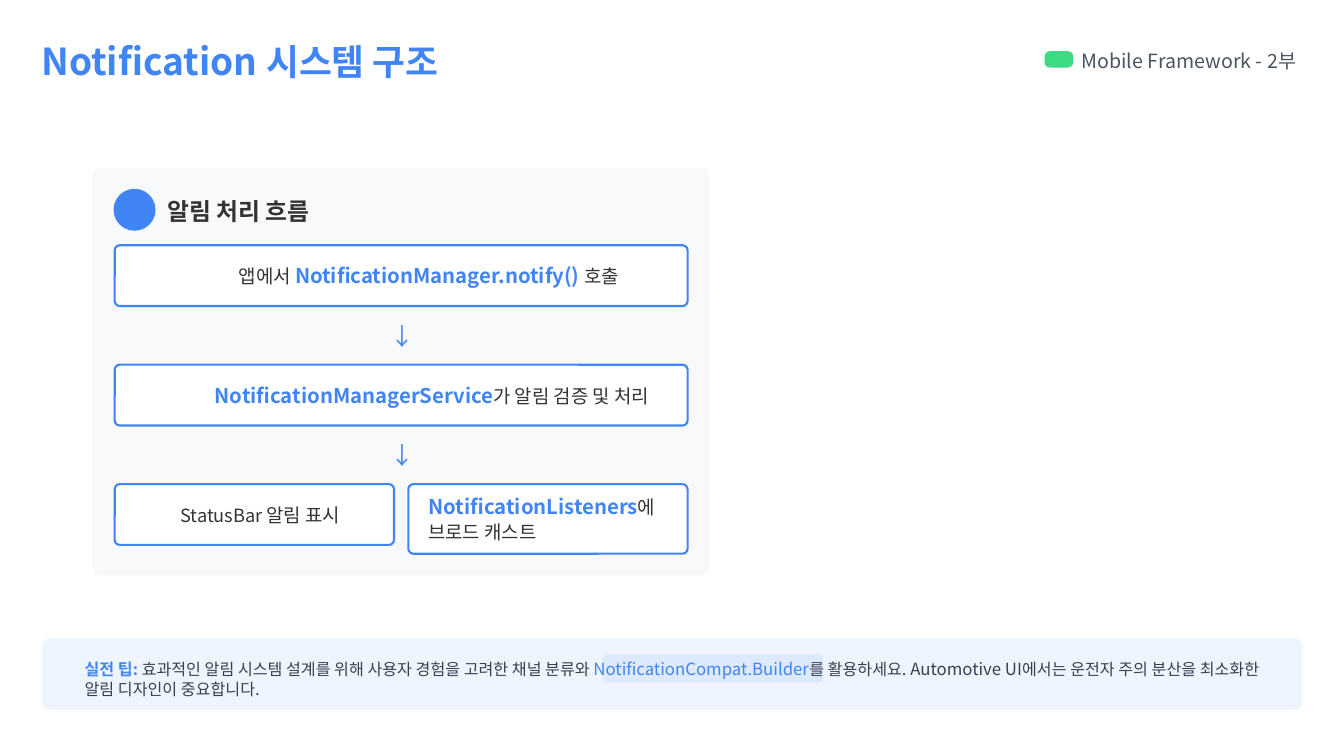
from dataclasses import dataclass

from lxml import etree
from pptx import Presentation
from pptx import util as u
from pptx.dml.color import RGBColor
from pptx.enum import shapes, text
from pptx.oxml.ns import qn

FONT = "Noto Sans CJK KR"
COLORS = {
    "blue": "4185F4",
    "green": "3CDB83",
    "dark": "333333",
    "gray": "4A5462",
    "slate": "374050",
    "panel": "F7F9FA",
    "tip": "EFF5FF",
    "white": "FFFFFF",
}
COLUMNS, ROWS = 160, 90
STEP_LEFT, STEP_TOP, STEP_PITCH = 13.66, 29.2, 14.22
STEP_HEIGHT, STEP_WIDTH, STEP_GAP = 7.24, 68.2, 1.7
HALF_WIDTH = (STEP_WIDTH - STEP_GAP) / 2
ARROW_LEFT, ARROW_DROP = 46.32, 8.7

deck = Presentation()
deck.slide_width, deck.slide_height = u.Inches(13.33), u.Inches(7.5)
page = deck.slides.add_slide(deck.slide_layouts[6])


@dataclass(frozen=True)
class Area:
    """A rectangle in grid columns and rows."""
    left: float
    top: float
    width: float
    height: float

    def lengths(self) -> tuple[int, int, int, int]:
        """Return left, top, width and height in slide units."""
        column, row = deck.slide_width / COLUMNS, deck.slide_height / ROWS
        return (round(self.left * column), round(self.top * row),
                round(self.width * column), round(self.height * row))


@dataclass(frozen=True)
class Span:
    """A run of text with its format."""
    words: str
    size: float
    color: str = "dark"
    bold: bool = False


@dataclass(frozen=True)
class Step:
    """A box of the flow with the area of its label."""
    box: Area
    label: Area
    spans: tuple[Span, ...]
    spacing: float = 1.0


def rgb(name: str) -> RGBColor:
    """Look up a named colour."""
    return RGBColor.from_string(COLORS[name])


def write(area: Area, *spans: Span, spacing: float = 1.0) -> None:
    """Write one paragraph of spans in a text box."""
    box = page.shapes.add_textbox(*area.lengths())
    frame = box.text_frame
    frame.word_wrap = True
    frame.vertical_anchor = text.MSO_ANCHOR.TOP
    frame.margin_left = u.Inches(0.01)
    frame.margin_top = u.Inches(0.03)
    frame.margin_right = frame.margin_bottom = 0
    para = frame.paragraphs[0]
    para.line_spacing = spacing
    for span in spans:
        run = para.add_run()
        run.text = span.words
        font = run.font
        font.name, font.size, font.bold = FONT, u.Pt(span.size), span.bold
        font.color.rgb = rgb(span.color)
        east_asian = etree.SubElement(font._element, qn("a:ea"))
        east_asian.set("typeface", FONT)


def block(area: Area, fill: str, *, radius: float = 0, line: str = "",
          opacity: int = 100, kind=shapes.MSO_SHAPE.ROUNDED_RECTANGLE) -> None:
    """Draw a filled shape, with corners of the given radius in rows."""
    shape = page.shapes.add_shape(kind, *area.lengths())
    shape.shadow.inherit = False
    if radius:
        shape.adjustments[0] = radius / min(area.width, area.height)
    shape.fill.solid()
    shape.fill.fore_color.rgb = rgb(fill)
    if opacity < 100:
        color = shape._element.spPr.find(".//" + qn("a:srgbClr"))
        etree.SubElement(color, qn("a:alpha")).set("val", str(opacity * 1000))
    if line:
        shape.line.color.rgb = rgb(line)
        shape.line.width = u.Pt(1.5)
    else:
        shape.line.fill.background()


def step_top(index: int) -> float:
    """Return the top row of a level of the flow."""
    return STEP_TOP + index * STEP_PITCH


STEPS = (
    Step(Area(STEP_LEFT, step_top(0), STEP_WIDTH, STEP_HEIGHT),
         Area(28.32, 31.0, 49.68, 3.2),
         (Span("앱에서 ", 13.5),
          Span("NotificationManager.notify() ", 14.5, "blue", True),
          Span("호출", 13.5))),
    Step(Area(STEP_LEFT, step_top(1), STEP_WIDTH, STEP_HEIGHT),
         Area(25.44, 45.22, 53.5, 3.2),
         (Span("NotificationManagerService", 14.5, "blue", True),
          Span("가 알림 검증 및 처리", 13.5))),
    Step(Area(STEP_LEFT, step_top(2), HALF_WIDTH, STEP_HEIGHT),
         Area(21.36, 59.6, 21.72, 2.9),
         (Span("StatusBar ", 13), Span("알림 표시", 13.5))),
    Step(Area(STEP_LEFT + HALF_WIDTH + STEP_GAP, step_top(2), HALF_WIDTH, 8.28),
         Area(50.88, 58.2, 28.2, 6.1),
         (Span("NotificationListeners", 14.5, "blue", True),
          Span("에 브로드 캐스트", 13.5)), spacing=1.09),
)


def draw_header() -> None:
    """Draw the title and the series label."""
    write(Area(4.8, 4.2, 71.4, 5.5),
          Span("Notification ", 26.5, "blue", True),
          Span("시스템 구조", 25.5, "blue", True))
    block(Area(124.36, 6.1, 3.4, 1.94), "green", radius=0.6)
    write(Area(128.64, 5.5, 28.6, 3), Span("Mobile Framework - 2부", 14, "gray"))


def draw_flow() -> None:
    """Draw the panel with its steps and arrows."""
    block(Area(11.04, 20, 73.4, 48.5), "panel", radius=0.85)
    block(Area(13.52, 22.48, 5, 5), "blue", kind=shapes.MSO_SHAPE.OVAL)
    write(Area(19.8, 23.1, 25.2, 3.6), Span("알림 처리 흐름", 17, "dark", True))
    for step in STEPS:
        block(step.box, "white", radius=0.6, line="blue")
        write(step.label, *step.spans, spacing=step.spacing)
    for index in range(2):
        write(Area(ARROW_LEFT, step_top(index) + ARROW_DROP, 3, 3.7),
              Span("↓", 17, "blue"))


def draw_tip() -> None:
    """Draw the practical tip at the foot of the slide."""
    block(Area(5.04, 76, 150, 8.5), "tip", radius=0.85)
    block(Area(71.8, 77.9, 26.2, 3.36), "blue", radius=0.5, opacity=10)
    write(Area(9.96, 78, 141.6, 7.8),
          Span("실전 팁: ", 11.5, "blue", True),
          Span("효과적인 알림 시스템 설계를 위해 사용자 경험을 고려한 채널 분류와 ", 11.5, "slate"),
          Span("NotificationCompat.Builder", 12, "blue"),
          Span("를 활용하세요", 11.5, "slate"),
          Span(". Automotive UI", 12, "slate"),
          Span("에서는 운전자 주의 분산을 최소화한 알림 디자인이 중요합니다", 11.5, "slate"),
          Span(".", 12, "slate"))


def main() -> None:
    """Build the slide and save it."""
    draw_header()
    draw_flow()
    draw_tip()
    deck.save("out.pptx")


if __name__ == "__main__":
    main()
